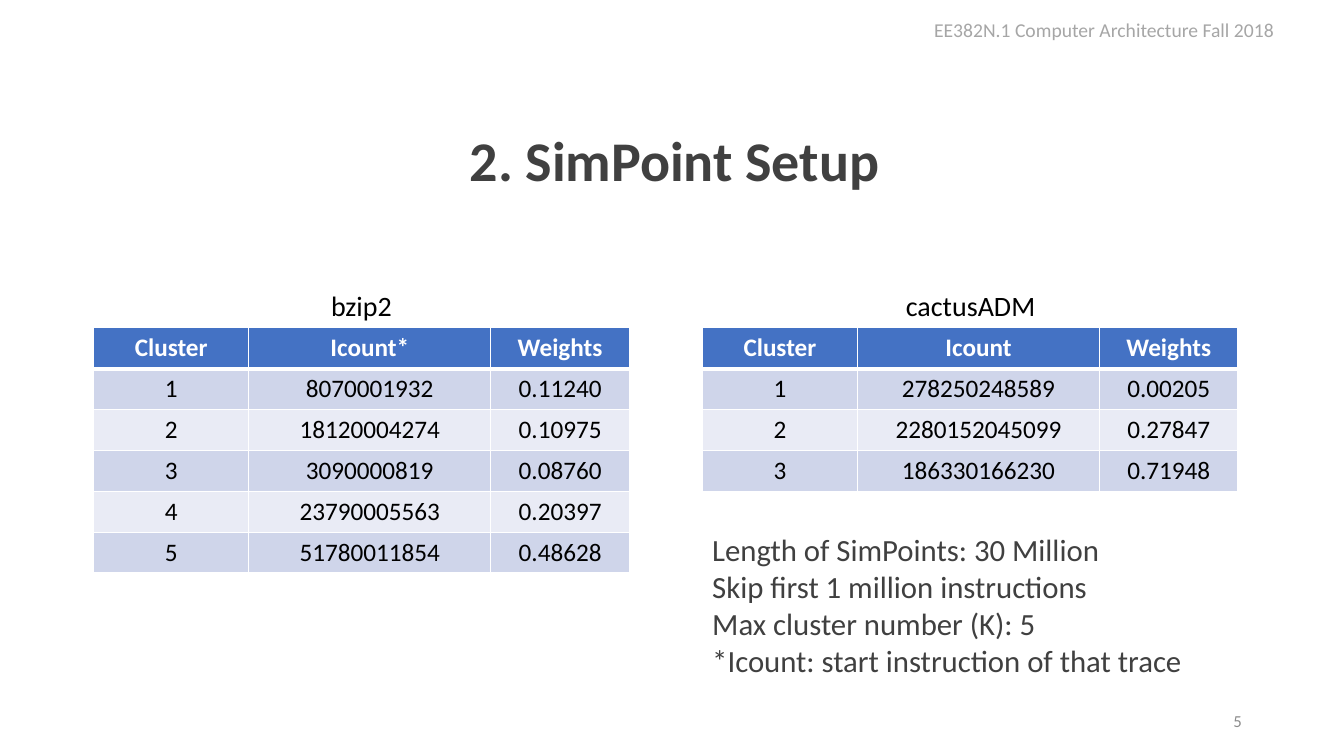
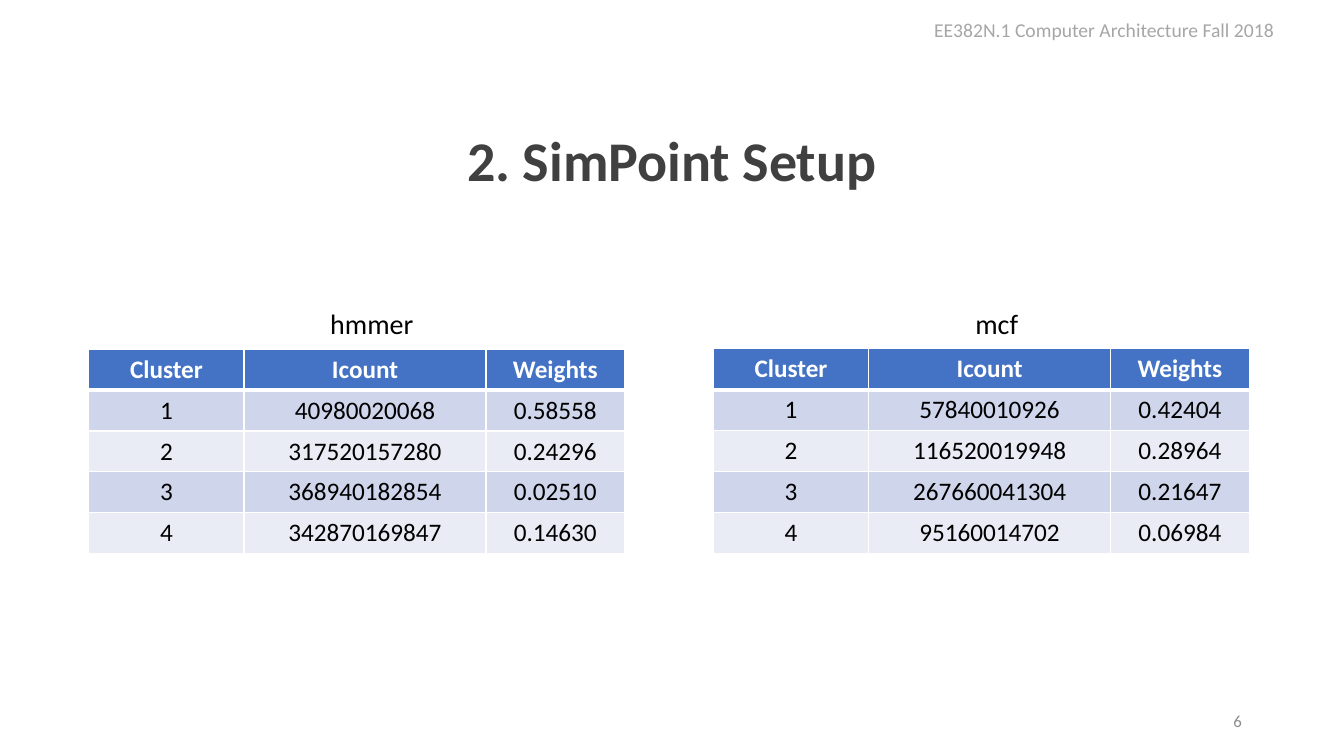
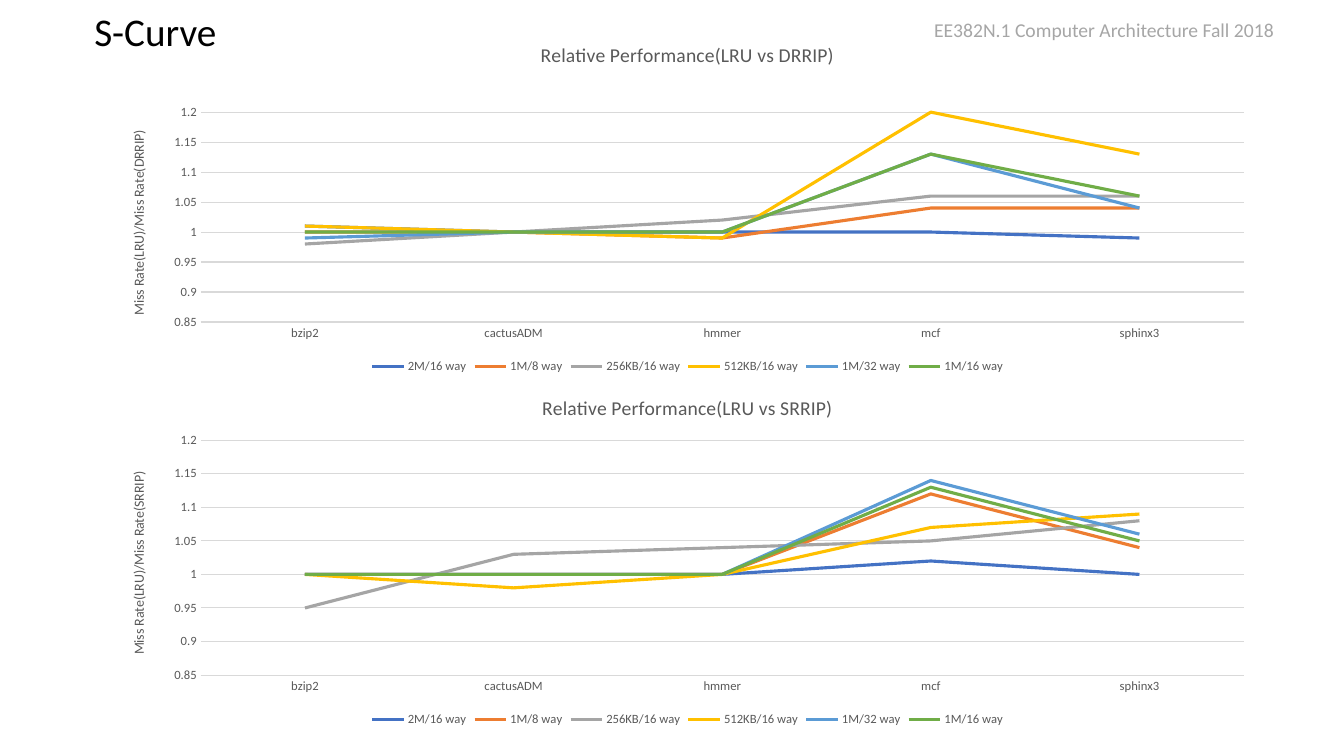
"""Build three slides on SimPoint setup and relative cache performance."""
from pptx import Presentation
from pptx.chart.data import CategoryChartData
from pptx.dml.color import RGBColor
from pptx.enum.chart import XL_CHART_TYPE, XL_LEGEND_POSITION, XL_TICK_MARK
from pptx.enum.text import MSO_ANCHOR, PP_ALIGN
from pptx.oxml import parse_xml
from pptx.oxml.ns import nsdecls
from pptx.util import Cm, Pt

FONT = "Calibri"
BLACK = RGBColor(0x00, 0x00, 0x00)
WHITE = RGBColor(0xFF, 0xFF, 0xFF)
DARK = RGBColor(0x40, 0x40, 0x40)
GRAY = RGBColor(0x59, 0x59, 0x59)
MUTED = RGBColor(0x8C, 0x8C, 0x8C)
PALE = RGBColor(0xA6, 0xA6, 0xA6)
GRID = RGBColor(0xD9, 0xD9, 0xD9)
BLUE = RGBColor(0x44, 0x72, 0xC4)
BANDS = [RGBColor(0xE9, 0xEB, 0xF5), RGBColor(0xCF, 0xD5, 0xEA)]
COLORS = [BLUE, RGBColor(0xED, 0x7D, 0x31), RGBColor(0xA5, 0xA5, 0xA5),
          RGBColor(0xFF, 0xC0, 0x00), RGBColor(0x5B, 0x9B, 0xD5),
          RGBColor(0x70, 0xAD, 0x47)]
LEFT, CENTER, RIGHT = PP_ALIGN.LEFT, PP_ALIGN.CENTER, PP_ALIGN.RIGHT
MIDDLE = MSO_ANCHOR.MIDDLE


def write(frame, text, size=18, color=BLACK, bold=False, align=LEFT, space=1.0):
    for i, line in enumerate(text.split("\n")):
        para = frame.add_paragraph() if i else frame.paragraphs[0]
        para.alignment = align
        para.line_spacing = space
        run = para.add_run()
        run.text = line
        run.font.name = FONT
        run.font.size = Pt(size)
        run.font.bold = bold
        run.font.color.rgb = color


def box(slide, spot, text, anchor=MSO_ANCHOR.TOP, **look):
    frame = slide.shapes.add_textbox(*map(Cm, spot)).text_frame
    frame.word_wrap = True
    frame.vertical_anchor = anchor
    write(frame, text, **look)


deck = Presentation()
deck.slide_width, deck.slide_height = Cm(33.87), Cm(19.05)
slides = [deck.slides.add_slide(deck.slide_layouts[6]) for _ in range(3)]
for slide in slides:
    box(slide, (23.29, 0.33, 9.35, 0.86), "EE382N.1 Computer Architecture Fall 2018",
        size=14, color=PALE)

setup = slides[:2]
for slide, page, left in zip(setup, "56", (3.35, 3.28)):
    box(slide, (left, 2.29, 27.3, 3.68), "2. SimPoint Setup", anchor=MIDDLE,
        size=40, color=DARK, bold=True, align=CENTER, space=0.9)
    box(slide, (23.93, 17.65, 7.62, 1.02), page, anchor=MIDDLE,
        size=12, color=MUTED, align=RIGHT)

box(setup[0], (17.7, 13.26, 13.84, 4.01),
    "Length of SimPoints: 30 Million\nSkip first 1 million instructions\n"
    "Max cluster number (K): 5\n*Icount: start instruction of that trace",
    size=22, color=DARK)

WIDTHS = (3.91, 6.1, 3.49)
ROW = 1.03
tables = [
    (setup[0], "bzip2", (4.11, 7.14), (2.36, 8.26), "Icount*",
     [("8070001932", "0.11240"), ("18120004274", "0.10975"), ("3090000819", "0.08760"),
      ("23790005563", "0.20397"), ("51780011854", "0.48628")]),
    (setup[0], "cactusADM", (19.46, 7.14), (17.7, 8.26), "Icount",
     [("278250248589", "0.00205"), ("2280152045099", "0.27847"),
      ("186330166230", "0.71948")]),
    (setup[1], "hmmer", (4.37, 7.59), (2.24, 8.8), "Icount",
     [("40980020068", "0.58558"), ("317520157280", "0.24296"),
      ("368940182854", "0.02510"), ("342870169847", "0.14630")]),
    (setup[1], "mcf", (20.12, 7.59), (17.98, 8.79), "Icount",
     [("57840010926", "0.42404"), ("116520019948", "0.28964"),
      ("267660041304", "0.21647"), ("95160014702", "0.06984")]),
]
for slide, name, label, spot, count, data in tables:
    box(slide, (*label, 10, 1.12), name, size=20, align=CENTER)
    rows = [("Cluster", count, "Weights")]
    rows += [(str(n), *pair) for n, pair in enumerate(data, 1)]
    size = (sum(WIDTHS), ROW * len(rows))
    table = slide.shapes.add_table(len(rows), 3, *map(Cm, spot + size)).table
    for col, width in zip(table.columns, WIDTHS):
        col.width = Cm(width)
    for r, row in enumerate(rows):
        table.rows[r].height = Cm(ROW)
        head = r == 0
        for c, text in enumerate(row):
            cell = table.cell(r, c)
            cell.vertical_anchor = MIDDLE
            write(cell.text_frame, text, color=WHITE if head else BLACK,
                  bold=head, align=CENTER)
            for side in "LRTB":
                thick = (head and side == "B") or (r == 1 and side == "T")
                cell._tc.get_or_add_tcPr().append(parse_xml(
                    f'<a:ln{side} {nsdecls("a")} w="{Pt(3 if thick else 1)}"><a:solidFill>'
                    f'<a:srgbClr val="{WHITE}"/></a:solidFill></a:ln{side}>'))
            cell.fill.solid()
            cell.fill.fore_color.rgb = BLUE if head else BANDS[r % 2]

curve = slides[2]
box(curve, (2.13, 0.2, 6.53, 1.32), "S-Curve", anchor=MIDDLE, size=28, space=0.9)

CATS = ["bzip2", "cactusADM", "hmmer", "mcf", "sphinx3"]
WAYS = ["2M/16 way", "1M/8 way", "256KB/16 way", "512KB/16 way", "1M/32 way", "1M/16 way"]
charts = [
    ("DRRIP", 0.64, 0.246, 0.595,
     [(1.01, 1, 1, 1, 0.99), (1, 1, 0.99, 1.04, 1.04), (0.98, 1, 1.02, 1.06, 1.06),
      (1.01, 1, 0.99, 1.2, 1.13), (0.99, 1, 1, 1.13, 1.04), (1, 1, 1, 1.13, 1.06)]),
    ("SRRIP", 9.53, 0.176, 0.666,
     [(1, 1, 1, 1.02, 1), (1, 1, 1, 1.12, 1.04), (0.95, 1.03, 1.04, 1.05, 1.08),
      (1, 0.98, 1, 1.07, 1.09), (1, 1, 1, 1.14, 1.06), (1, 1, 1, 1.13, 1.05)]),
]
for rule, top, start, height, values in charts:
    data = CategoryChartData()
    data.categories = CATS
    for way, vals in zip(WAYS, values):
        data.add_series(way, vals)
    spot = map(Cm, (2.72, top, 29.21, 8.89))
    chart = curve.shapes.add_chart(XL_CHART_TYPE.LINE, *spot, data).chart
    chart.font.name = FONT
    chart.font.size = Pt(9)
    chart.font.color.rgb = GRAY
    chart.has_title = True
    write(chart.chart_title.text_frame, f"Relative Performance(LRU vs {rule})",
          size=14, color=GRAY, align=CENTER)
    chart.has_legend = True
    chart.legend.position = XL_LEGEND_POSITION.BOTTOM
    chart.legend.include_in_layout = False

    plot = chart.plots[0]
    plot.vary_by_categories = False
    for line, color in zip(plot.series, COLORS):
        line.smooth = False
        line.format.line.width = Pt(2.25)
        line.format.line.color.rgb = color

    base, scale = chart.category_axis, chart.value_axis
    for axis in (base, scale):
        axis.major_tick_mark = axis.minor_tick_mark = XL_TICK_MARK.NONE
    scale.minimum_scale, scale.maximum_scale, scale.major_unit = 0.85, 1.2, 0.05
    scale.format.line.fill.background()
    for edge in (base.format.line, scale.major_gridlines.format.line):
        edge.color.rgb = GRID
        edge.width = Pt(0.75)
    title = scale.axis_title.text_frame
    write(title, f"Miss Rate(LRU)/Miss Rate({rule})", size=10, color=GRAY, align=CENTER)
    title._txBody.bodyPr.set("rot", "-5400000")

    area = chart._chartSpace.chart.plotArea
    for old in area.findall("{*}layout"):
        area.remove(old)
    marks = "".join(f'<c:{key} val="{val}"/>' for key, val in (
        ("layoutTarget", "inner"), ("xMode", "edge"), ("yMode", "edge"),
        ("x", 0.08), ("y", start), ("w", 0.9), ("h", height)))
    area.insert(0, parse_xml(
        f'<c:layout {nsdecls("c")}><c:manualLayout>{marks}</c:manualLayout></c:layout>'))

deck.save("out.pptx")
